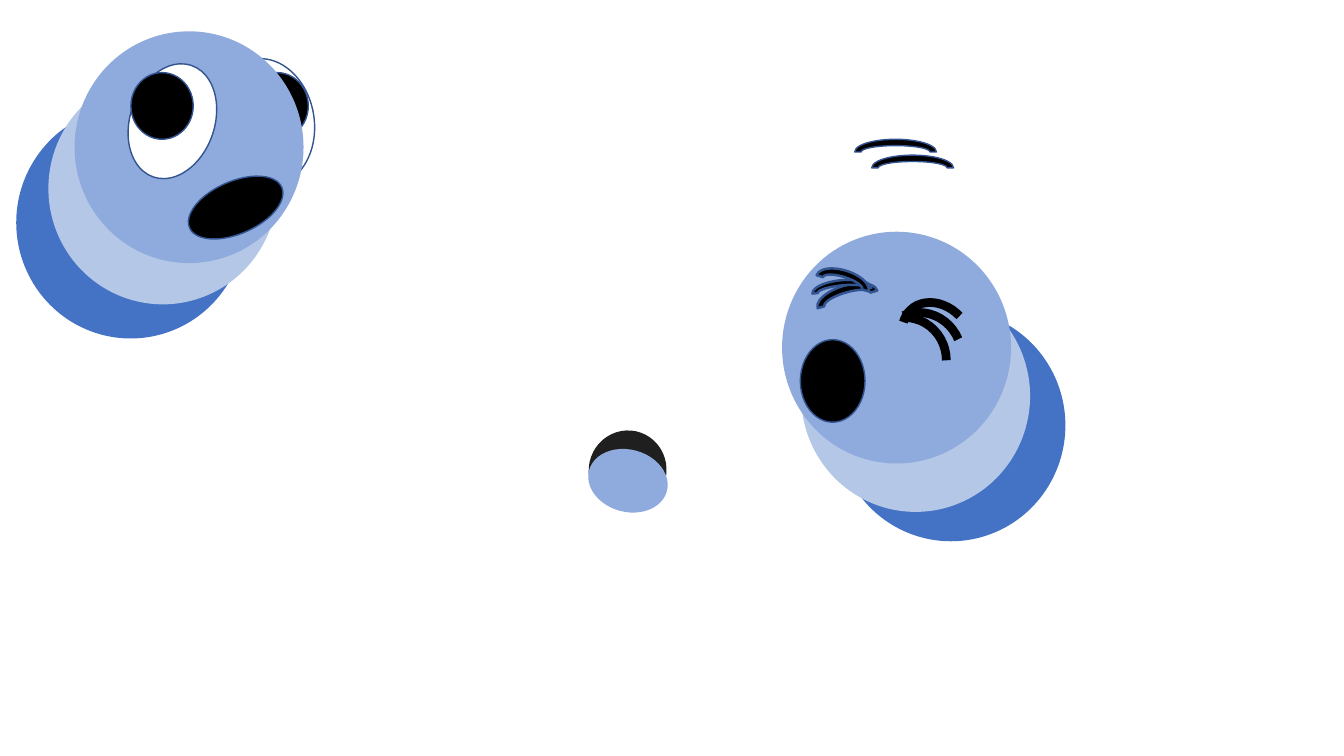
from dataclasses import dataclass

from pptx import Presentation
from pptx.dml.color import RGBColor
from pptx.enum.shapes import MSO_SHAPE
from pptx.util import Cm, Pt


@dataclass(frozen=True)
class Theme:
    deep: str = "4472C4"
    mid: str = "8FAADC"
    pale: str = "B4C7E7"
    white: str = "FFFFFF"
    black: str = "000000"
    soot: str = "1F1F1F"
    edge: str = "325491"
    thin: float = 1
    bold: float = 1.75
    thick: float = 6.25


THEME = Theme()
BALL = (5.77, 5.84)
PUPIL = (1.57, 1.68)


def draw(home, kind, spot, size, fill=None, line=None, width=THEME.thin, turn=0):
    """Add a preset shape; spot and size are in centimetres."""
    shape = home.add_shape(kind, *map(Cm, spot + size))
    shape.shadow.inherit = False
    shape.rotation = turn
    if fill:
        shape.fill.solid()
        shape.fill.fore_color.rgb = RGBColor.from_string(fill)
    else:
        shape.fill.background()
    if line:
        shape.line.color.rgb = RGBColor.from_string(line)
        shape.line.width = Pt(width)
    else:
        shape.line.fill.background()
    return shape


def oval(home, spot, size, fill, line=None, turn=0):
    return draw(home, MSO_SHAPE.OVAL, spot, size, fill, line, turn=turn)


def ball(home, spot, fill):
    return oval(home, spot, BALL, fill)


def brow(home, spot, size, width=THEME.thin, turn=0):
    return draw(home, MSO_SHAPE.BLOCK_ARC, spot, size,
                THEME.black, THEME.edge, width, turn)


def lash(home, spot, size=(2.11, 2.16), turn=0):
    return draw(home, MSO_SHAPE.ARC, spot, size,
                line=THEME.black, width=THEME.thick, turn=turn)


def add_left(shapes):
    face = shapes.add_group_shape().shapes
    ball(face, (0.41, 2.69), THEME.deep)
    ball(face, (1.22, 1.83), THEME.pale)
    # Far eye, partly behind the head
    oval(face, (5.41, 1.47), (2.51, 3.23), THEME.white, THEME.edge, 350.8)
    oval(face, (6.2, 1.83), PUPIL, THEME.black, THEME.edge)
    ball(face, (1.88, 0.79), THEME.mid)
    # Near eye and mouth
    oval(face, (3.28, 1.57), (2.13, 2.97), THEME.white, THEME.edge, 18.9)
    oval(face, (3.3, 1.83), PUPIL, THEME.black, THEME.edge)
    oval(face, (4.67, 4.57), (2.54, 1.32), THEME.black, THEME.edge, 336.2)


def add_lid(shapes):
    lid = shapes.add_group_shape().shapes
    oval(lid, (14.81, 10.87), (2.01, 1.96), THEME.soot, turn=102.3)
    oval(lid, (14.81, 11.33), (2.03, 1.57), THEME.mid, turn=15)


def add_right(shapes):
    # Head and mouth
    ball(shapes, (20.19, 7.06), THEME.pale)
    ball(shapes, (19.71, 5.84), THEME.mid)
    add_lid(shapes)
    oval(shapes, (20.17, 8.56), (1.63, 2.08), THEME.black, THEME.edge)

    # Right eye, shut tight
    wink = shapes.add_group_shape().shapes
    lash(wink, (21.74, 8))
    top = lash(wink, (22.83, 7.54), (1.57, 1.93), 316.3)
    top.adjustments[0] = 148.99
    top.adjustments[1] = 0
    lash(wink, (22.12, 7.87), turn=337.6)

    # Loose brows above the head
    for spot in ((21.54, 3.51), (21.97, 3.91)):
        brow(shapes, spot, (2.06, 0.64))

    # Left eye, shut tight
    squint = shapes.add_group_shape().shapes
    for spot, size, turn in (
        ((20.57, 7.19), (1.57, 0.71), 343.5),
        ((20.47, 7.06), (1.5, 0.53), 354.3),
        ((20.55, 6.81), (1.37, 0.66), 17.3),
    ):
        brow(squint, spot, size, THEME.bold, turn)


def main():
    deck = Presentation()
    deck.slide_width, deck.slide_height = Cm(33.87), Cm(19.05)
    shapes = deck.slides.add_slide(deck.slide_layouts[6]).shapes
    ball(shapes, (21.08, 7.8), THEME.deep)
    add_left(shapes)
    add_right(shapes)
    deck.save("out.pptx")


if __name__ == "__main__":
    main()
